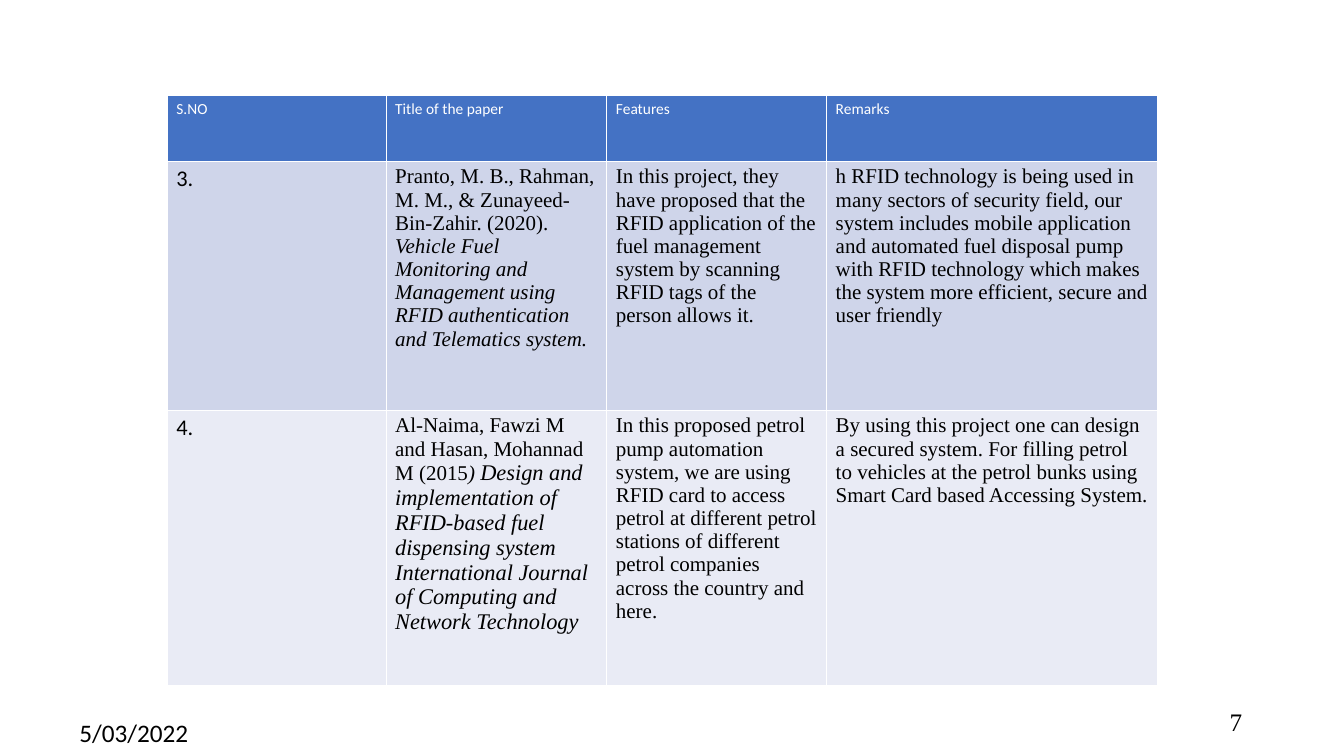
from pptx import Presentation
from pptx.dml.color import RGBColor
from pptx.enum.text import MSO_ANCHOR, PP_ALIGN
from pptx.util import Inches, Pt

MIDDLE, TOP = MSO_ANCHOR.MIDDLE, MSO_ANCHOR.TOP
LEFT, RIGHT = PP_ALIGN.LEFT, PP_ALIGN.RIGHT

WHITE = RGBColor(0xFF, 0xFF, 0xFF)
BLACK = RGBColor(0x00, 0x00, 0x00)
HEADER_BLUE = RGBColor(0x44, 0x72, 0xC4)
ROW_FILLS = [RGBColor(0xCF, 0xD5, 0xEA), RGBColor(0xE9, 0xEB, 0xF5)]

SANS, SERIF = "Calibri", "Times New Roman"

COLUMN_WIDTHS = [2.17, 2.19, 2.18, 3.28]
ROW_HEIGHTS = [0.65, 2.47, 2.73]
HEADERS = ["S.NO", "Title of the paper", "Features", "Remarks"]

# Each paper: number, title runs as (text, size, italic), features, remarks
PAPERS = [
    (
        "3.",
        [
            ("Pranto, M. B., Rahman, M. M., & Zunayeed-Bin-Zahir. (2020). ", 15, False),
            ("Vehicle Fuel Monitoring and Management using RFID authentication "
             "and Telematics system.", 15, True),
        ],
        "In this project, they have proposed that the RFID application of the fuel "
        "management system by scanning RFID tags of the person allows it.",
        "h RFID technology is being used in many sectors of security field, our system "
        "includes mobile application and automated fuel disposal pump with RFID "
        "technology which makes the system more efficient, secure and user friendly",
    ),
    (
        "4.",
        [
            ("Al-Naima, Fawzi M and Hasan, Mohannad M (2015", 15, False),
            (") ", 15, True),
            ("Design and implementation of RFID-based fuel dispensing system "
             "International Journal of Computing and Network Technology", 16, True),
        ],
        "In this proposed petrol pump automation system, we are using RFID card to "
        "access petrol at different petrol stations of different petrol companies "
        "across the country and here.",
        "By using this project one can design a secured system. For filling petrol to "
        "vehicles at the petrol bunks using Smart Card based Accessing System.",
    ),
]


def style_font(font, name, size, color):
    font.name = name
    font.size = Pt(size)
    font.color.rgb = color


def fill_cell(cell, runs, name, color, fill):
    """Write (text, size, italic) runs into a cell on a solid fill."""
    cell.fill.solid()
    cell.fill.fore_color.rgb = fill
    cell.margin_left = cell.margin_right = Inches(0.09)
    cell.margin_top = cell.margin_bottom = Inches(0.04)
    paragraph = cell.text_frame.paragraphs[0]
    for text, size, italic in runs:
        run = paragraph.add_run()
        run.text = text
        style_font(run.font, name, size, color)
        run.font.bold = False
        run.font.italic = italic


def add_paper_table(slide, left, top):
    frame = slide.shapes.add_table(
        len(ROW_HEIGHTS), len(COLUMN_WIDTHS), Inches(left), Inches(top),
        Inches(sum(COLUMN_WIDTHS)), Inches(sum(ROW_HEIGHTS)))
    table = frame.table
    for column, width in zip(table.columns, COLUMN_WIDTHS):
        column.width = Inches(width)
    for row, height in zip(table.rows, ROW_HEIGHTS):
        row.height = Inches(height)

    for column, header in enumerate(HEADERS):
        fill_cell(table.cell(0, column), [(header, 11, False)], SANS, WHITE, HEADER_BLUE)
    for row, (paper, fill) in enumerate(zip(PAPERS, ROW_FILLS), start=1):
        number, title_runs, features, remarks = paper
        fill_cell(table.cell(row, 0), [(number, 16, False)], SANS, BLACK, fill)
        fill_cell(table.cell(row, 1), title_runs, SERIF, BLACK, fill)
        for column, text in ((2, features), (3, remarks)):
            fill_cell(table.cell(row, column), [(text, 15, False)], SERIF, BLACK, fill)


def add_footer_text(slide, box, text, font_name, alignment, anchor):
    text_box = slide.shapes.add_textbox(*(Inches(length) for length in box))
    text_frame = text_box.text_frame
    text_frame.word_wrap = True
    text_frame.vertical_anchor = anchor
    paragraph = text_frame.paragraphs[0]
    paragraph.text = text
    paragraph.alignment = alignment
    style_font(paragraph.font, font_name, 18, BLACK)


def main():
    presentation = Presentation()
    presentation.slide_width = Inches(13.33)
    presentation.slide_height = Inches(7.5)
    slide = presentation.slides.add_slide(presentation.slide_layouts[6])
    add_paper_table(slide, 1.66, 0.95)
    add_footer_text(slide, (0.69, 7.07, 6.67, 0.34), "5/03/2022", SANS, LEFT, TOP)
    add_footer_text(slide, (9.42, 6.96, 3, 0.4), "7", SERIF, RIGHT, MIDDLE)
    presentation.save("out.pptx")


if __name__ == "__main__":
    main()
